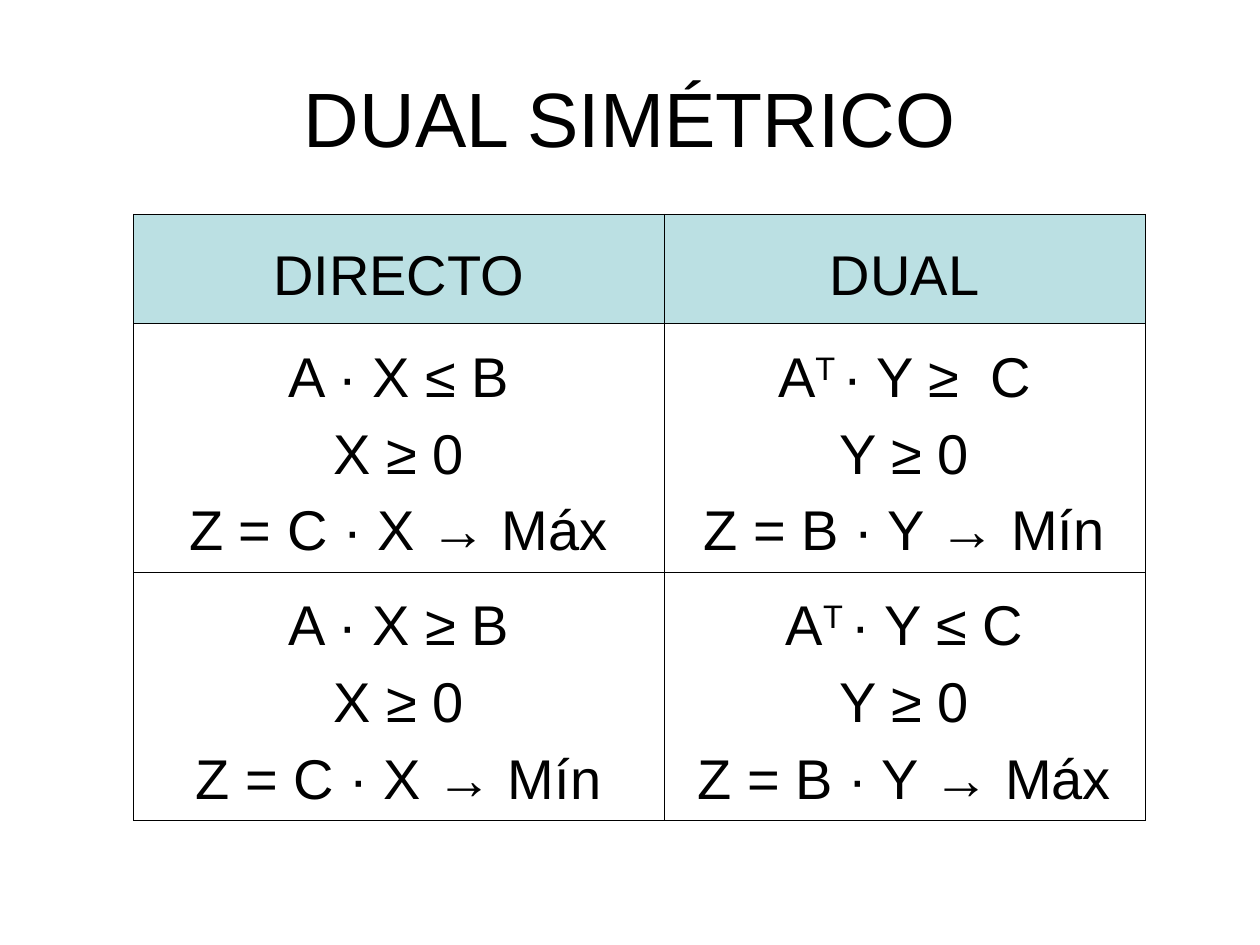
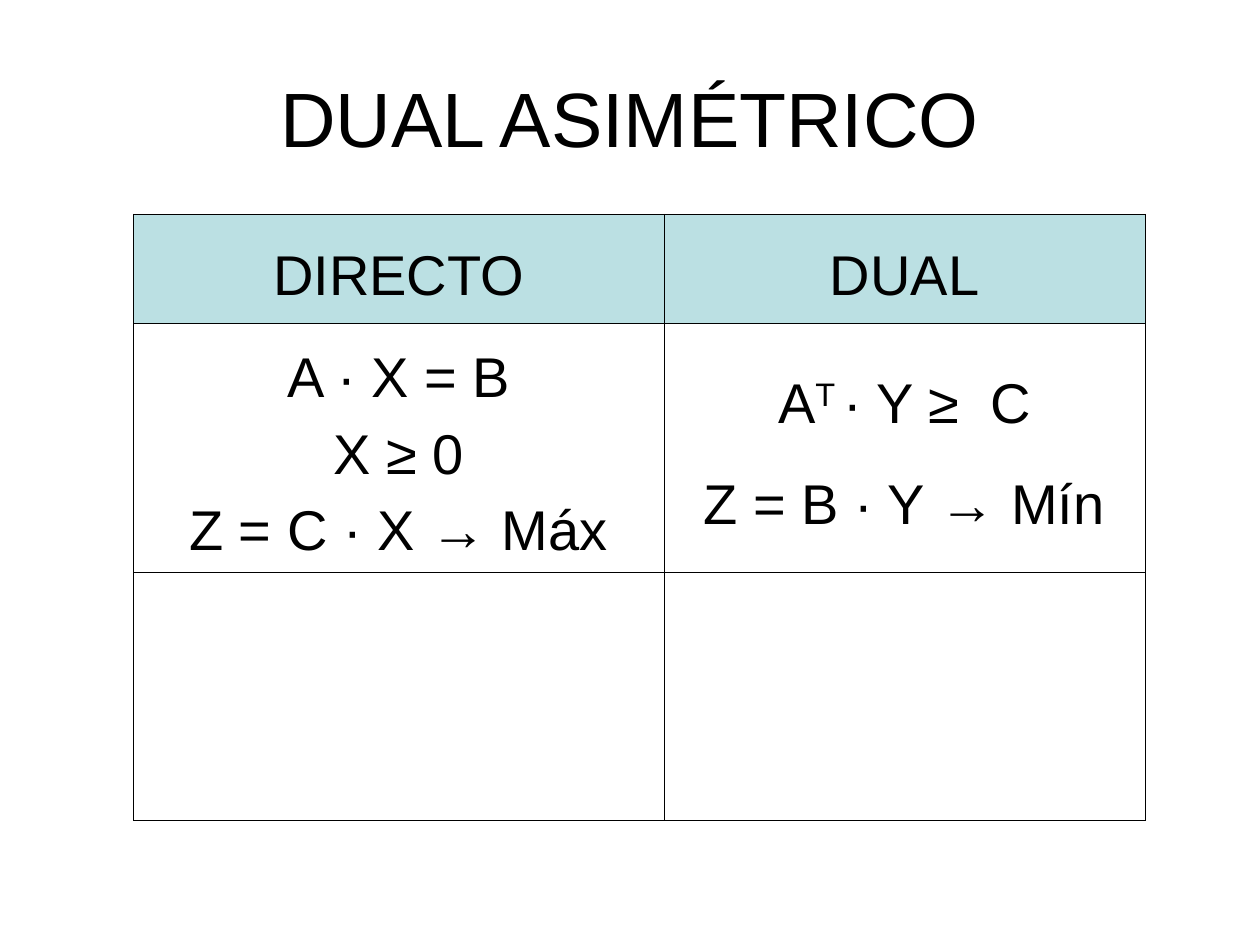
from lxml.etree import SubElement
from pptx import Presentation
from pptx.dml.color import RGBColor
from pptx.enum.text import MSO_ANCHOR, PP_ALIGN
from pptx.oxml.ns import qn
from pptx.util import Inches, Pt

BLACK = RGBColor(0x00, 0x00, 0x00)
WHITE = RGBColor(0xFF, 0xFF, 0xFF)
HEADER_FILL = RGBColor(0xBB, 0xE0, 0xE3)
FONT = "Arial"
TITLE_SIZE, CELL_SIZE = Pt(44), Pt(32)
LINE_GAP, WIDE_GAP = Pt(8), Pt(22)
BORDER_WIDTH = Pt(0.45)

TITLE_BOX = [Inches(v) for v in (0.5, 0.3, 9, 1.25)]
TABLE_BOX = [Inches(v) for v in (1.06, 1.7, 8.03, 4.81)]
COLUMN_WIDTHS = [Inches(v) for v in (4.21, 3.82)]
ROW_HEIGHTS = [Inches(v) for v in (0.87, 1.97, 1.97)]
CELL_FORMAT = {
    "vertical_anchor": MSO_ANCHOR.MIDDLE,
    "margin_left": Inches(0.1),
    "margin_right": Inches(0.1),
    "margin_top": Inches(0.16),
    "margin_bottom": Inches(0.05),
}

# Each cell is a list of lines; "^T " marks the transpose superscript.
HEADER = [["DIRECTO"], ["DUAL"]]
SYMMETRIC = [
    HEADER,
    [["A · X ≤ B", "X ≥ 0", "Z = C · X → Máx"],
     ["A^T · Y ≥  C", "Y ≥ 0", "Z = B · Y → Mín"]],
    [["A · X ≥ B", "X ≥ 0", "Z = C · X → Mín"],
     ["A^T · Y ≤ C", "Y ≥ 0", "Z = B · Y → Máx"]],
]
ASYMMETRIC = [
    HEADER,
    [["A · X = B", "X ≥ 0", "Z = C · X → Máx"],
     ["A^T · Y ≥  C", "Z = B · Y → Mín"]],
    [[], []],
]


def style_font(font, size):
    for name, value in {"name": FONT, "size": size, "bold": False}.items():
        setattr(font, name, value)
    font.color.rgb = BLACK


def add_run(p, text, superscript=False):
    r = p.add_run()
    r.text = text
    style_font(r.font, CELL_SIZE)
    if superscript:
        r.font._element.set("baseline", "30000")


def add_formula(p, formula):
    base, mark, rest = formula.partition("^T ")
    add_run(p, base)
    if mark:
        add_run(p, "T ", superscript=True)
        add_run(p, rest)


def add_borders(cell):
    tc_pr = cell._tc.get_or_add_tcPr()
    for side in ("lnL", "lnR", "lnT", "lnB"):
        ln = SubElement(tc_pr, qn(f"a:{side}"), w=str(int(BORDER_WIDTH)))
        fill = SubElement(ln, qn("a:solidFill"))
        SubElement(fill, qn("a:srgbClr"), val=str(BLACK))


def fill_cell(cell, lines, color):
    for name, value in CELL_FORMAT.items():
        setattr(cell, name, value)
    add_borders(cell)
    cell.fill.solid()
    cell.fill.fore_color.rgb = color
    tf = cell.text_frame
    gap = WIDE_GAP if len(lines) == 2 else LINE_GAP
    for i, line in enumerate(lines):
        p = tf.add_paragraph() if i else tf.paragraphs[0]
        p.alignment = PP_ALIGN.CENTER
        if i:
            p.space_before = gap
        add_formula(p, line)


def add_title(s, text, box):
    sp = s.shapes.title
    sp.left, sp.top, sp.width, sp.height = box
    tf = sp.text_frame
    tf.text = text
    tf.vertical_anchor = MSO_ANCHOR.MIDDLE
    p = tf.paragraphs[0]
    p.alignment = PP_ALIGN.CENTER
    style_font(p.runs[0].font, TITLE_SIZE)


def add_dual_table(s, rows, box):
    table = s.shapes.add_table(len(rows), len(HEADER), *box).table
    table.first_row = table.horz_banding = False
    for column, width in zip(table.columns, COLUMN_WIDTHS):
        column.width = width
    for i, (row, height) in enumerate(zip(table.rows, ROW_HEIGHTS)):
        row.height = height
        for cell, lines in zip(row.cells, rows[i]):
            fill_cell(cell, lines, WHITE if i else HEADER_FILL)


def add_dual_slide(prs, title, rows):
    s = prs.slides.add_slide(prs.slide_layouts[5])
    add_title(s, title, TITLE_BOX)
    add_dual_table(s, rows, TABLE_BOX)


def main():
    prs = Presentation()
    prs.slide_width, prs.slide_height = Inches(10), Inches(7.5)
    add_dual_slide(prs, "DUAL SIMÉTRICO", SYMMETRIC)
    add_dual_slide(prs, "DUAL ASIMÉTRICO", ASYMMETRIC)
    prs.save("out.pptx")


if __name__ == "__main__":
    main()
